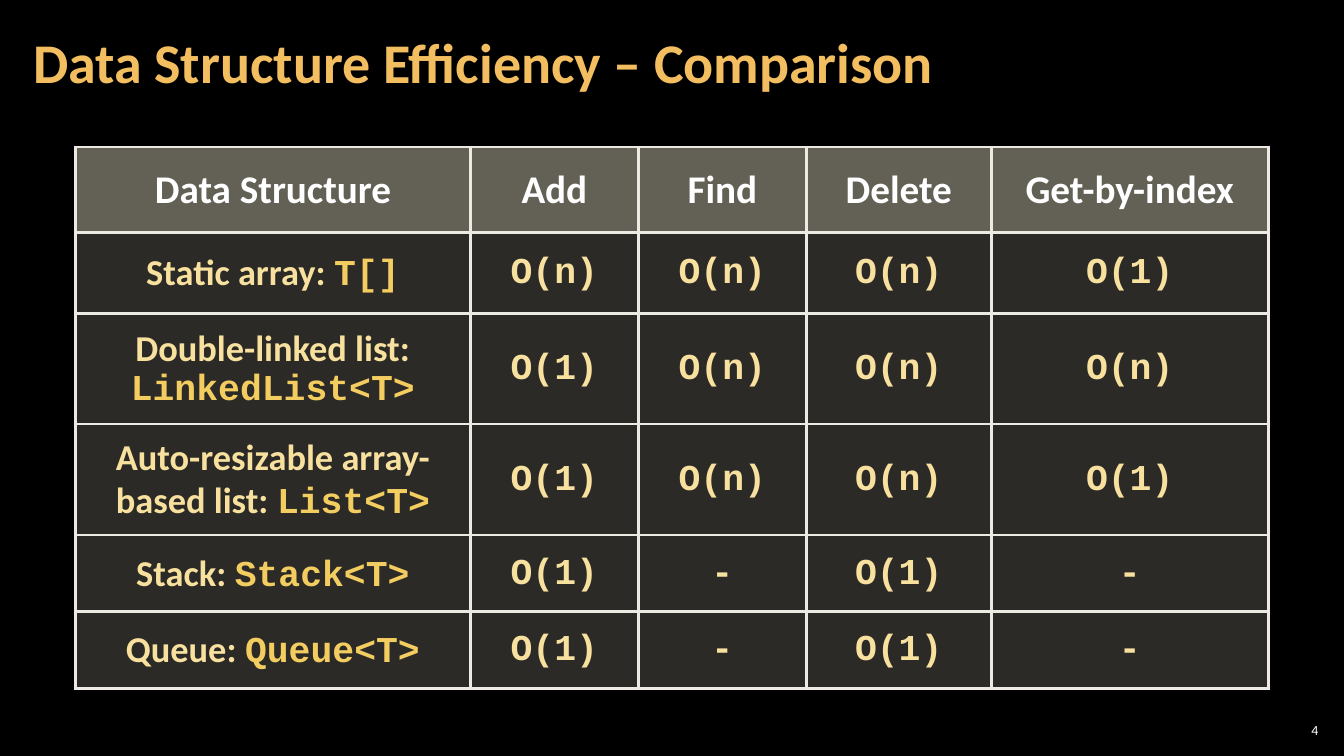
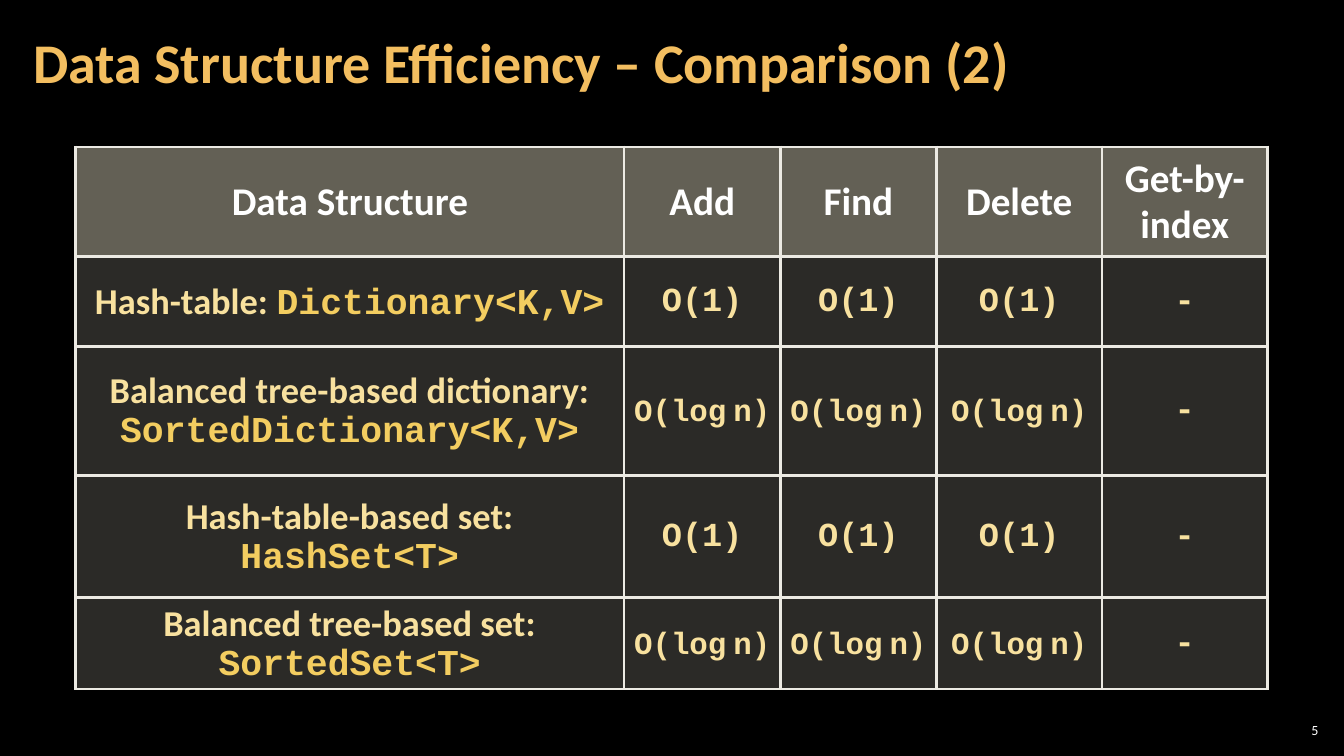
from dataclasses import dataclass

from lxml import etree
from pptx import Presentation, util as u
from pptx.dml.color import RGBColor
from pptx.enum import text as t
from pptx.oxml import ns


@dataclass(frozen=True)
class Theme:
    background: str = "000000"
    title: str = "F3BE60"
    white: str = "FFFFFF"
    label: str = "F8E19F"
    code: str = "F3CD60"
    border: str = "ECEAE3"
    header_fill: tuple = ("C6C0AA", 50)
    body_fill: tuple = ("D9D5C7", 20)
    text_font: str = "Calibri"
    code_font: str = "Courier New"
    title_size: float = 40
    header_size: float = 28
    label_size: float = 26
    number_size: float = 10
    border_width: float = 2.25


THEME = Theme()
SLIDE_WIDTH, SLIDE_HEIGHT = u.Inches(13.333), u.Inches(7.5)
GRID_UNIT = SLIDE_WIDTH / 64  # the slide is 64 columns by 36 rows

TITLE_BOX = (1, 0.2, 50.25, 5.8)
NUMBER_BOX = (60.72, 34.27, 2.25, 1)
TABLE_CORNER = (3.6, 7)
HEADERS = ["Data Structure", "Add", "Find", "Delete", "Get-by-index"]

COMPARISONS = [
    {
        "number": 4,
        "title": "Data Structure Efficiency – Comparison",
        "columns": [18.8, 8, 8, 8.8, 13.2],
        "rows": [4.08, 3.84, 5.28, 5.28, 3.65, 3.65],
        "value_size": 26,
        "entries": [
            ("Static array: ", "T[]", ["O(n)", "O(n)", "O(n)", "O(1)"]),
            ("Double-linked list: ", "LinkedList<T>", ["O(1)", "O(n)", "O(n)", "O(n)"]),
            ("Auto-resizable array-based list: ", "List<T>", ["O(1)", "O(n)", "O(n)", "O(1)"]),
            ("Stack: ", "Stack<T>", ["O(1)", "-", "O(1)", "-"]),
            ("Queue: ", "Queue<T>", ["O(1)", "-", "O(1)", "-"]),
        ],
    },
    {
        "number": 5,
        "title": "Data Structure Efficiency – Comparison (2)",
        "columns": [26.12, 7.44, 7.44, 7.88, 7.88],
        "rows": [5.23, 4.27, 6.14, 5.81, 4.37],
        "value_size": 24,
        "entries": [
            ("Hash-table: ", "Dictionary<K,V>", ["O(1)"] * 3 + ["-"]),
            ("Balanced tree-based dictionary: ", "SortedDictionary<K,V>", ["O(log n)"] * 3 + ["-"]),
            ("Hash-table-based set: ", "HashSet<T>", ["O(1)"] * 3 + ["-"]),
            ("Balanced tree-based set: ", "SortedSet<T>", ["O(log n)"] * 3 + ["-"]),
        ],
    },
]


def grid(*lengths):
    return [u.Emu(round(length * GRID_UNIT)) for length in lengths]


def apply_format(target, **values):
    for name, value in values.items():
        setattr(target, name, value)


def add_run(paragraph, content, size, color, font=THEME.text_font, bold=True):
    run = paragraph.add_run()
    run.text = content
    apply_format(run.font, name=font, size=u.Pt(size), bold=bold)
    run.font.color.rgb = RGBColor.from_string(color)


def format_frame(frame, horizontal, vertical):
    """Set equal left/right and top/bottom margins, and centre vertically."""
    apply_format(
        frame, word_wrap=True, auto_size=t.MSO_AUTO_SIZE.NONE,
        vertical_anchor=t.MSO_ANCHOR.MIDDLE,
        margin_left=horizontal, margin_right=horizontal,
        margin_top=vertical, margin_bottom=vertical,
    )


def add_title(slide, content):
    title = slide.shapes.title
    left, top, width, height = grid(*TITLE_BOX)
    apply_format(title, left=left, top=top, width=width, height=height)
    format_frame(title.text_frame, u.Inches(0.12), u.Inches(0.04))
    paragraph = title.text_frame.paragraphs[0]
    apply_format(paragraph, alignment=t.PP_ALIGN.LEFT, line_spacing=0.9)
    add_run(paragraph, content, THEME.title_size, THEME.title)


def add_slide_number(slide, number):
    frame = slide.shapes.add_textbox(*grid(*NUMBER_BOX)).text_frame
    format_frame(frame, u.Inches(0.04), u.Inches(0.04))
    paragraph = frame.paragraphs[0]
    paragraph.alignment = t.PP_ALIGN.RIGHT
    add_run(paragraph, str(number), THEME.number_size, THEME.white, bold=False)


def style_cell(cell, fill):
    """Give the cell a translucent fill and four borders; return its paragraph."""
    color, opacity = fill
    cell.fill.solid()
    cell.fill.fore_color.rgb = RGBColor.from_string(color)
    properties = cell._tc.get_or_add_tcPr()
    fill_color = properties.find(".//" + ns.qn("a:srgbClr"))
    etree.SubElement(fill_color, ns.qn("a:alpha"), val=str(opacity * 1000))
    for position, side in enumerate(("lnL", "lnR", "lnT", "lnB")):
        line = etree.Element(ns.qn("a:" + side), w=str(u.Pt(THEME.border_width)))
        solid = etree.SubElement(line, ns.qn("a:solidFill"))
        etree.SubElement(solid, ns.qn("a:srgbClr"), val=THEME.border)
        properties.insert(position, line)
    cell.vertical_anchor = t.MSO_ANCHOR.MIDDLE
    paragraph = cell.text_frame.paragraphs[0]
    apply_format(paragraph, alignment=t.PP_ALIGN.CENTER, line_spacing=0.95)
    return paragraph


def fill_header(cell, content):
    paragraph = style_cell(cell, THEME.header_fill)
    add_run(paragraph, content, THEME.header_size, THEME.white)


def fill_label(cell, label, code):
    paragraph = style_cell(cell, THEME.body_fill)
    add_run(paragraph, label, THEME.label_size, THEME.label)
    add_run(paragraph, code, THEME.label_size, THEME.code, THEME.code_font)


def fill_value(cell, value, size):
    """Write a complexity; one with a space is set smaller, with a narrow space."""
    paragraph = style_cell(cell, THEME.body_fill)
    apply_format(cell, margin_left=u.Inches(0.04), margin_right=u.Inches(0.04))
    before, space, after = value.partition(" ")
    size -= 2 if space else 0
    add_run(paragraph, before, size, THEME.label, THEME.code_font)
    if space:
        add_run(paragraph, space, size, THEME.label)
        add_run(paragraph, after, size, THEME.label, THEME.code_font)


def add_comparison_table(slide, columns, rows, entries, value_size):
    box = grid(*TABLE_CORNER, sum(columns), sum(rows))
    table = slide.shapes.add_table(len(rows), len(columns), *box).table
    table.horz_banding = False
    for column, width in zip(table.columns, grid(*columns)):
        column.width = width
    for row, height in zip(table.rows, grid(*rows)):
        row.height = height
    for index, header in enumerate(HEADERS):
        fill_header(table.cell(0, index), header)
    for row_index, (label, code, values) in enumerate(entries, start=1):
        fill_label(table.cell(row_index, 0), label, code)
        for column_index, value in enumerate(values, start=1):
            fill_value(table.cell(row_index, column_index), value, value_size)


def add_comparison_slide(presentation, number, title, **table):
    slide = presentation.slides.add_slide(presentation.slide_layouts.get_by_name("Title Only"))
    add_slide_number(slide, number)
    add_title(slide, title)
    add_comparison_table(slide, **table)


def main():
    presentation = Presentation()
    apply_format(presentation, slide_width=SLIDE_WIDTH, slide_height=SLIDE_HEIGHT)
    background = presentation.slide_master.background.fill
    background.solid()
    background.fore_color.rgb = RGBColor.from_string(THEME.background)
    for comparison in COMPARISONS:
        add_comparison_slide(presentation, **comparison)
    presentation.save("out.pptx")


if __name__ == "__main__":
    main()
